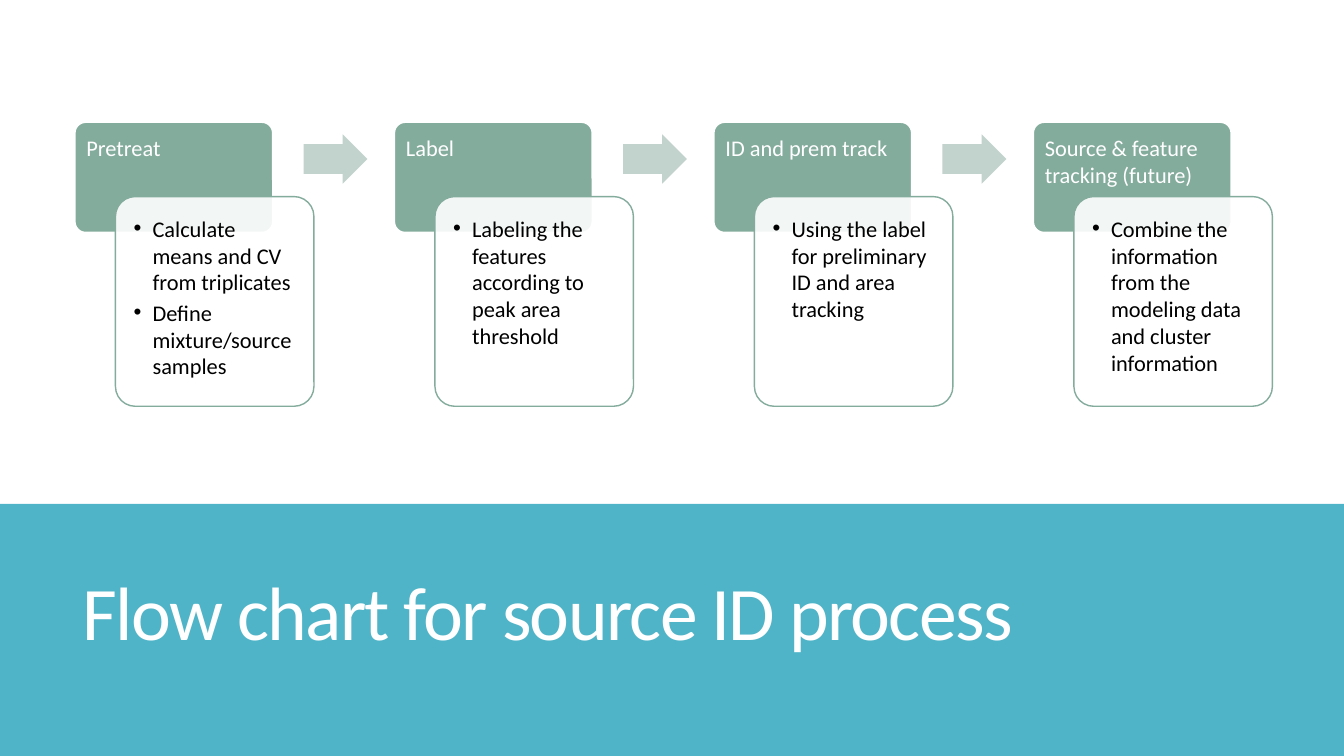
from lxml.etree import SubElement
from pptx import Presentation
from pptx.dml.color import RGBColor
from pptx.enum.shapes import MSO_SHAPE
from pptx.enum.text import MSO_ANCHOR, MSO_AUTO_SIZE, PP_ALIGN
from pptx.oxml.ns import qn
from pptx.util import Pt

TEAL = RGBColor(0x50, 0xB4, 0xC8)
SAGE = RGBColor(0x84, 0xAC, 0x9D)
PALE = RGBColor(0xC2, 0xD2, 0xCC)
WHITE = RGBColor(0xFF, 0xFF, 0xFF)
BLACK = RGBColor(0x00, 0x00, 0x00)

STEPS = [
    ("Pretreat", ["Calculate means and CV from triplicates",
                  "Define mixture/source samples"]),
    ("Label", ["Labeling the features according to peak area threshold"]),
    ("ID and prem track",
     ["Using the label for preliminary ID and area tracking"]),
    ("Source & feature tracking (future)",
     ["Combine the information from the modeling data and cluster information"]),
]
LEFT, PITCH = 53.3, 228.2


class Flow:
    font = "Calibri"
    size = 16

    def __init__(self, slide):
        self.slide = slide

    def shape(self, kind, box, fill, line=None, width=1, adjust=()):
        item = self.slide.shapes.add_shape(kind, *map(Pt, box))
        item.shadow.inherit = False
        item.fill.solid()
        item.fill.fore_color.rgb = fill
        if line is None:
            item.line.fill.background()
        else:
            item.line.color.rgb = line
            item.line.width = Pt(width)
        for index, value in enumerate(adjust):
            item.adjustments[index] = value
        return item

    def run(self, para, text, color, size=None):
        run = para.add_run()
        run.text = text
        run.font.name = self.font
        run.font.size = Pt(size or self.size)
        run.font.color.rgb = color
        return run

    def frame(self, item, inset):
        frame = item.text_frame
        frame.word_wrap = True
        frame.vertical_anchor = MSO_ANCHOR.TOP
        frame.margin_left = frame.margin_right = Pt(inset)
        frame.margin_top = frame.margin_bottom = Pt(inset)
        return frame

    def band(self, box):
        item = self.shape(MSO_SHAPE.RECTANGLE, box, TEAL)
        # Keep the band behind the title
        self.slide.shapes.element.insert(2, item.element)

    def title(self, text, box):
        item = self.slide.shapes.title
        item.left, item.top, item.width, item.height = map(Pt, box)
        frame = item.text_frame
        frame.word_wrap = True
        frame.auto_size = MSO_AUTO_SIZE.NONE
        frame.vertical_anchor = MSO_ANCHOR.MIDDLE
        para = frame.paragraphs[0]
        para.alignment = PP_ALIGN.LEFT
        para.line_spacing = 0.85
        run = self.run(para, text, WHITE, 54)
        run.font._element.set("spc", "-120")

    def head(self, text, left):
        item = self.shape(MSO_SHAPE.ROUNDED_RECTANGLE, (left, 87.1, 141.8, 79.2),
                          SAGE, WHITE, 1.5, [0.1])
        para = self.frame(item, 6.2).paragraphs[0]
        para.alignment = PP_ALIGN.LEFT
        para.space_after = Pt(5.6)
        self.run(para, text, WHITE)

    def card(self, points, left):
        item = self.shape(MSO_SHAPE.ROUNDED_RECTANGLE, (left, 140.4, 141.8, 149.8),
                          WHITE, SAGE, 1, [0.1])
        color = item.fill._xPr.find(qn("a:solidFill"))[0]
        SubElement(color, qn("a:alpha")).set("val", "90000")
        frame = self.frame(item, 8.9)
        for index, text in enumerate(points):
            para = frame.add_paragraph() if index else frame.paragraphs[0]
            para.alignment = PP_ALIGN.LEFT
            para.level = 1
            para.space_after = Pt(2.4)
            props = para._p.get_or_add_pPr()
            props.set("marL", str(Pt(13.5)))
            props.set("indent", str(-Pt(13.5)))
            SubElement(props, qn("a:buFont")).set("typeface", "Arial")
            SubElement(props, qn("a:buChar")).set("char", "•")
            self.run(para, text, BLACK)

    def arrow(self, left):
        self.shape(MSO_SHAPE.RIGHT_ARROW, (left, 95.9, 45.6, 35.3),
                   PALE, adjust=[0.6, 0.5])


def main():
    deck = Presentation()
    deck.slide_width, deck.slide_height = Pt(960), Pt(540)
    flow = Flow(deck.slides.add_slide(deck.slide_layouts[5]))

    # Title band
    flow.band((0, 360, 960, 180))
    flow.title("Flow chart for source ID process", (52, 375.8, 848, 130.3))

    # Process steps, with an arrow between neighbours
    for index, (name, points) in enumerate(STEPS):
        left = LEFT + index * PITCH
        flow.head(name, left)
        flow.card(points, left + 29.2)
        if index < len(STEPS) - 1:
            flow.arrow(left + 163.5)

    deck.save("out.pptx")


if __name__ == "__main__":
    main()
